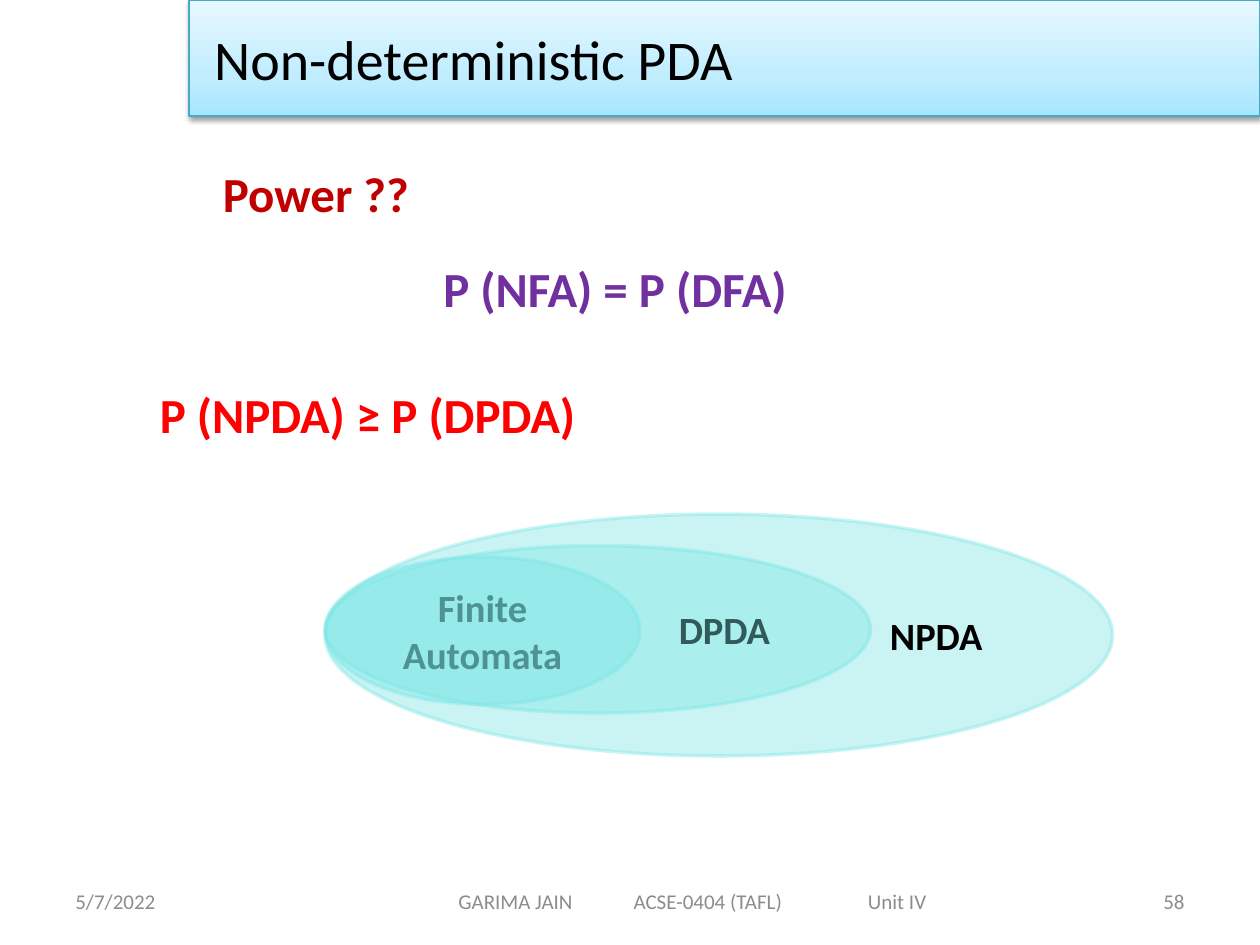
from dataclasses import dataclass

from pptx import Presentation
from pptx.dml.color import RGBColor
from pptx.enum.shapes import MSO_SHAPE
from pptx.enum.text import MSO_ANCHOR, MSO_AUTO_SIZE, PP_ALIGN
from pptx.oxml import parse_xml
from pptx.oxml.ns import nsdecls, qn
from pptx.util import Inches, Pt


@dataclass(frozen=True)
class Theme:
    """Colours, type sizes and font of the slide."""
    font: str = "Calibri"
    ink: str = "000000"
    muted: str = "8C8C8C"
    question: str = "C00000"
    equality: str = "7030A0"
    inequality: str = "FF0000"
    ellipse: str = "7BE5E5"
    ellipse_alpha: int = 40
    banner_line: str = "46AAC5"
    banner_stops: tuple = ((0, "A7E6FF"), (35, "C1EDFF"), (100, "E7F8FF"))
    title_size: int = 32
    statement_size: int = 28
    label_size: int = 22
    footer_size: int = 12


THEME = Theme()


def format_text(frame, size, color, bold=False, align=PP_ALIGN.LEFT):
    """Apply one type style to every run of a text frame."""
    for para in frame.paragraphs:
        para.alignment = align
        for span in para.runs:
            span.font.name = THEME.font
            span.font.size = Pt(size)
            span.font.bold = bold
            span.font.color.rgb = RGBColor.from_string(color)


def place(shape, left, top, width, height):
    """Move and size a shape in inches."""
    shape.left, shape.top = Inches(left), Inches(top)
    shape.width, shape.height = Inches(width), Inches(height)


def fill_gradient(shape):
    """Fill a shape with the banner gradient, running upwards."""
    stops = "".join(
        f'<a:gs pos="{position * 1000}"><a:srgbClr val="{color}"/></a:gs>'
        for position, color in THEME.banner_stops
    )
    shape._element.spPr.append(parse_xml(
        f'<a:gradFill {nsdecls("a")} rotWithShape="1"><a:gsLst>{stops}</a:gsLst>'
        '<a:lin ang="16200000" scaled="1"/></a:gradFill>'
    ))


def add_drop_shadow(shape):
    """Give a shape a soft shadow straight below it."""
    shape._element.spPr.append(parse_xml(
        f'<a:effectLst {nsdecls("a")}>'
        '<a:outerShdw blurRad="40000" dist="20000" dir="5400000" rotWithShape="0">'
        '<a:srgbClr val="000000"><a:alpha val="38000"/></a:srgbClr>'
        '</a:outerShdw></a:effectLst>'
    ))


def set_title(page, text):
    """Turn the title placeholder into the banner."""
    title = page.shapes.title
    place(title, 1.5, 0, 8.5, 0.92)
    fill_gradient(title)
    title.line.color.rgb = RGBColor.from_string(THEME.banner_line)
    title.line.width = Pt(0.75)
    add_drop_shadow(title)
    frame = title.text_frame
    frame.text = text
    frame.auto_size = MSO_AUTO_SIZE.NONE
    frame.vertical_anchor = MSO_ANCHOR.MIDDLE
    frame.margin_left = Inches(0.2)
    format_text(frame, THEME.title_size, THEME.ink)


def add_statement(page, text, left, top, width, color):
    """Add a bold one-line statement."""
    box = page.shapes.add_textbox(Inches(left), Inches(top), Inches(width), Inches(0.57))
    frame = box.text_frame
    frame.word_wrap = True
    frame.text = text
    format_text(frame, THEME.statement_size, color, bold=True)


def add_class_ellipse(group, text, top, width, height, label_center):
    """Add a translucent language class with its label centred at a given x."""
    left = 2.58
    ellipse = group.shapes.add_shape(
        MSO_SHAPE.OVAL, Inches(left), Inches(top), Inches(width), Inches(height))
    ellipse.shadow.inherit = False
    color = RGBColor.from_string(THEME.ellipse)
    ellipse.fill.solid()
    ellipse.fill.fore_color.rgb = color
    ellipse.line.color.rgb = color
    ellipse.line.width = Pt(2)
    for node in ellipse._element.spPr.iter(qn("a:srgbClr")):
        node.append(parse_xml(
            f'<a:alpha {nsdecls("a")} val="{THEME.ellipse_alpha * 1000}"/>'))
    frame = ellipse.text_frame
    frame.word_wrap = True
    frame.vertical_anchor = MSO_ANCHOR.MIDDLE
    frame.margin_left = Inches(2 * (label_center - left - width / 2))
    frame.margin_right = 0
    frame.text = text
    format_text(frame, THEME.label_size, THEME.ink, bold=True, align=PP_ALIGN.CENTER)


def add_footer(page, text, left, width, align=PP_ALIGN.LEFT, tabs=()):
    """Add one footer item, with tab stops in inches from its text edge."""
    box = page.shapes.add_textbox(Inches(left), Inches(6.95), Inches(width), Inches(0.4))
    frame = box.text_frame
    frame.word_wrap = True
    frame.vertical_anchor = MSO_ANCHOR.MIDDLE
    frame.text = text
    if tabs:
        stops = "".join(f'<a:tab pos="{Inches(tab)}" algn="l"/>' for tab in tabs)
        properties = frame.paragraphs[0]._p.get_or_add_pPr()
        properties.append(parse_xml(f'<a:tabLst {nsdecls("a")}>{stops}</a:tabLst>'))
    format_text(frame, THEME.footer_size, THEME.muted, align=align)


def main():
    """Build the slide and save it."""
    deck = Presentation()
    deck.slide_width, deck.slide_height = Inches(10), Inches(7.5)
    page = deck.slides.add_slide(deck.slide_layouts.get_by_name("Title Only"))

    set_title(page, "Non-deterministic PDA")
    add_statement(page, "Power ??", 1.67, 1.25, 2.58, THEME.question)
    add_statement(page, "P (NFA) = P (DFA)", 3.42, 2, 3.75, THEME.equality)
    add_statement(page, "P (NPDA) ≥ P (DPDA)", 1.17, 3, 4.5, THEME.inequality)

    classes = page.shapes.add_group_shape()
    add_class_ellipse(classes, "Finite Automata", 4.42, 2.5, 1.17, 3.83)
    add_class_ellipse(classes, "DPDA", 4.33, 4.33, 1.33, 5.75)
    add_class_ellipse(classes, "NPDA", 4.08, 6.25, 1.92, 7.43)

    add_footer(page, "5/7/2022", 0.5, 2.33)
    add_footer(page, "GARIMA JAIN\tACSE-0404 (TAFL)\tUnit IV", 3.54, 4.71, tabs=(1.39, 3.25))
    add_footer(page, "58", 7.17, 2.33, PP_ALIGN.RIGHT)
    deck.save("out.pptx")


if __name__ == "__main__":
    main()
